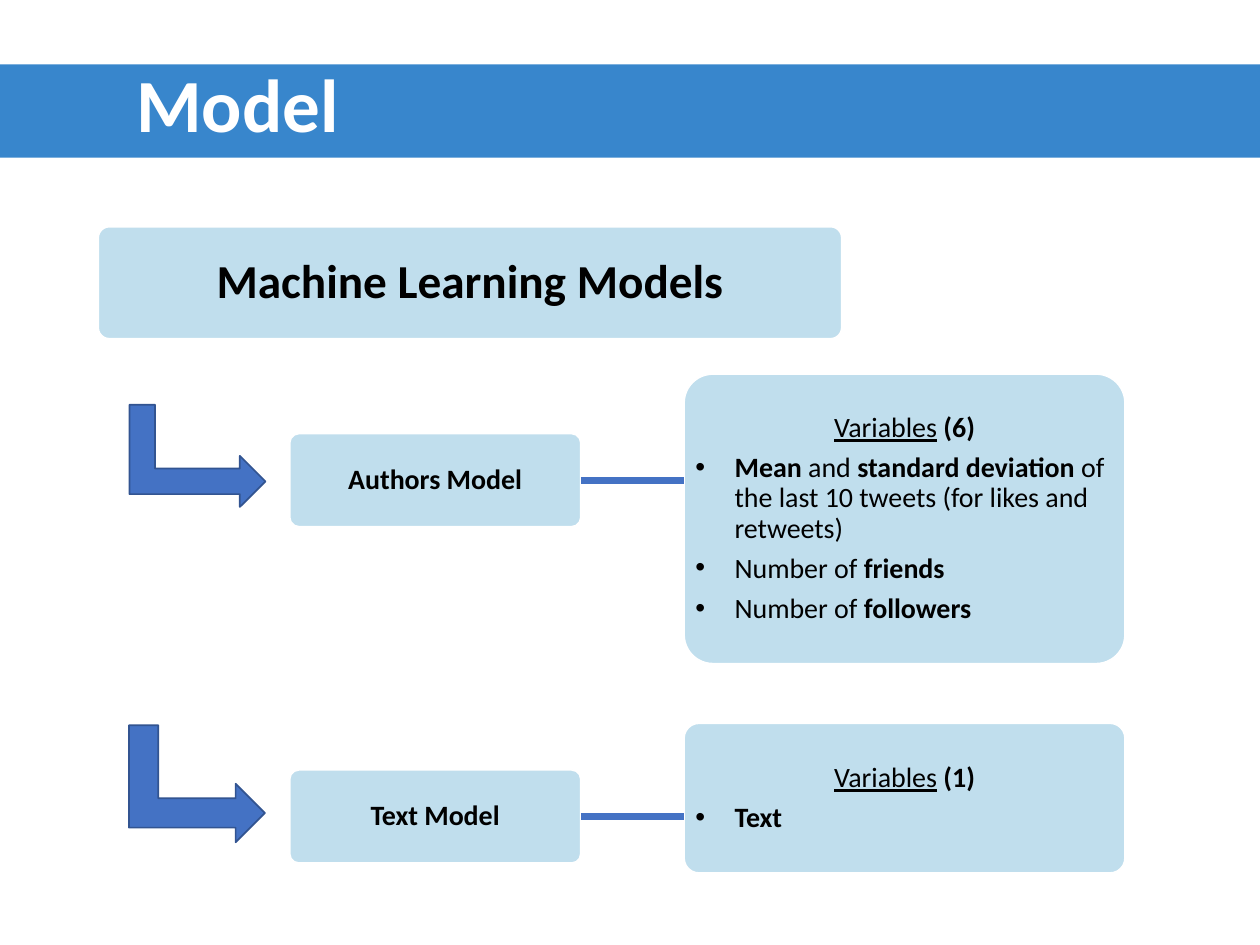
from lxml.etree import SubElement
from pptx import Presentation
from pptx.dml.color import RGBColor
from pptx.enum.shapes import MSO_CONNECTOR, MSO_SHAPE
from pptx.enum.text import MSO_ANCHOR, MSO_AUTO_SIZE, PP_ALIGN
from pptx.oxml.ns import qn
from pptx.util import Cm, Pt

BAND = RGBColor(0x38, 0x86, 0xCC)
PALE = RGBColor(0xC0, 0xDE, 0xED)
BLUE = RGBColor(0x44, 0x72, 0xC4)
DARK_BLUE = RGBColor(0x32, 0x54, 0x91)
WHITE = RGBColor(0xFF, 0xFF, 0xFF)
BLACK = RGBColor(0, 0, 0)

LIST_LEFT, LIST_WIDTH = 13.79, 8.89
BOX_LEFT, BOX_WIDTH, BOX_HEIGHT = 5.84, 5.87, 1.88


class ModelPage:
    """Holds the style and the current slide."""

    font_name = "Calibri"
    text_size = 16

    def __init__(self, page):
        self.page = page

    def place(self, shape, left, top, width, height):
        shape.left, shape.top = Cm(left), Cm(top)
        shape.width, shape.height = Cm(width), Cm(height)

    def frame(self, shape, inset):
        frame = shape.text_frame
        frame.word_wrap = True
        frame.auto_size = MSO_AUTO_SIZE.NONE
        frame.vertical_anchor = MSO_ANCHOR.MIDDLE
        frame.margin_left = frame.margin_right = Cm(inset)
        frame.margin_top = frame.margin_bottom = Cm(0.18)
        return frame

    def style(self, span, size, color=BLACK, bold=True, underline=False):
        font = span.font
        font.name, font.size = self.font_name, Pt(size)
        font.color.rgb = color
        font.bold, font.underline = bold, underline

    def shape(self, kind, left, top, width, height, fill, line):
        shape = self.page.shapes.add_shape(
            kind, Cm(left), Cm(top), Cm(width), Cm(height))
        shape.shadow.inherit = False
        shape.fill.solid()
        shape.fill.fore_color.rgb = fill
        shape.line.color.rgb = line
        shape.line.width = Pt(1)
        return shape

    def title(self, text, left, top, width, height):
        band = self.page.shapes.title
        self.place(band, left, top, width, height)
        band.fill.solid()
        band.fill.fore_color.rgb = BAND
        frame = self.frame(band, 0.25)
        frame.margin_left = Cm(2.75)
        frame.text = text
        para = frame.paragraphs[0]
        para.alignment, para.line_spacing = PP_ALIGN.LEFT, 0.8
        self.style(para.runs[0], 42.9, WHITE)

    def card(self, left, top, width, height, text="", size=text_size):
        card = self.shape(MSO_SHAPE.ROUNDED_RECTANGLE, left, top, width,
                          height, PALE, WHITE)
        card.adjustments[0] = 0.1
        if text:
            frame = self.frame(card, 0.2)
            frame.text = text
            para = frame.paragraphs[0]
            para.alignment, para.line_spacing = PP_ALIGN.CENTER, 0.9
            self.style(para.runs[0], size)
        return card

    def arrow(self, left, top, width, height):
        arrow = self.shape(MSO_SHAPE.BENT_UP_ARROW, left, top, width, height,
                           BLUE, DARK_BLUE)
        arrow.rotation = 90

    def link(self, box, end_x):
        middle = box.top + box.height // 2
        link = self.page.shapes.add_connector(
            MSO_CONNECTOR.STRAIGHT, box.left + box.width, middle,
            Cm(end_x), middle)
        link.begin_connect(box, 3)
        link.line.color.rgb = BLUE
        link.line.width = Pt(4)
        SubElement(link.element.spPr, qn("a:effectLst"))

    def variables(self, body, top, height, count, items):
        """Fill a body placeholder and lay a card behind it."""
        bounds = LIST_LEFT, top, LIST_WIDTH, height
        body.element.addprevious(self.card(*bounds).element)
        self.place(body, *bounds)
        frame = self.frame(body, 0.23)
        heading = frame.paragraphs[0]
        self.paragraph(heading, [("Variables", False), (f" ({count})", True)])
        heading.alignment = PP_ALIGN.CENTER
        self.style(heading.runs[0], self.text_size, bold=False, underline=True)
        for item in items:
            self.paragraph(frame.add_paragraph(), item, bullet=True)

    def paragraph(self, para, spans, bullet=False):
        para.line_spacing = 0.9
        para.space_before, para.space_after = Pt(0), Pt(5.6)
        for text, bold in spans:
            span = para.add_run()
            span.text = text
            self.style(span, self.text_size, bold=bold)
        properties = para._p.get_or_add_pPr()
        indent = Cm(0.79) if bullet else 0
        properties.set("marL", str(indent))
        properties.set("indent", str(-indent))
        if bullet:
            SubElement(properties, qn("a:buFont"), typeface="Arial")
            SubElement(properties, qn("a:buChar"), char="•")
        else:
            SubElement(properties, qn("a:buNone"))


def main():
    deck = Presentation()
    deck.slide_width, deck.slide_height = Cm(25.4), Cm(19.05)
    page = deck.slides.add_slide(deck.slide_layouts.get_by_name("Two Content"))
    model = ModelPage(page)

    # Title band and heading card
    model.title("Model", 0, 1.3, 25.4, 1.88)
    model.card(1.98, 4.57, 14.99, 2.26, "Machine Learning Models", 27)

    # Variable lists
    authors_list, text_list = page.placeholders[1], page.placeholders[2]
    model.variables(authors_list, 7.54, 5.84, 6, [
        [("Mean", True), (" and ", False), ("standard deviation ", True),
         ("of the last 10 tweets (for likes and retweets)", False)],
        [("Number of ", False), ("friends", True)],
        [("Number of ", False), ("followers", True)],
    ])
    model.variables(text_list, 14.58, 3.02, 1, [[("Text", True)]])

    # Model boxes, each linked to its list
    for name, top in (("Authors Model", 8.74), ("Text Model", 15.52)):
        box = model.card(BOX_LEFT, top, BOX_WIDTH, BOX_HEIGHT, name)
        model.link(box, LIST_LEFT)

    # Bent arrows leading to the boxes
    model.arrow(2.95, 7.82, 2.06, 2.74)
    model.arrow(2.79, 14.43, 2.36, 2.74)

    deck.save("out.pptx")


if __name__ == "__main__":
    main()
